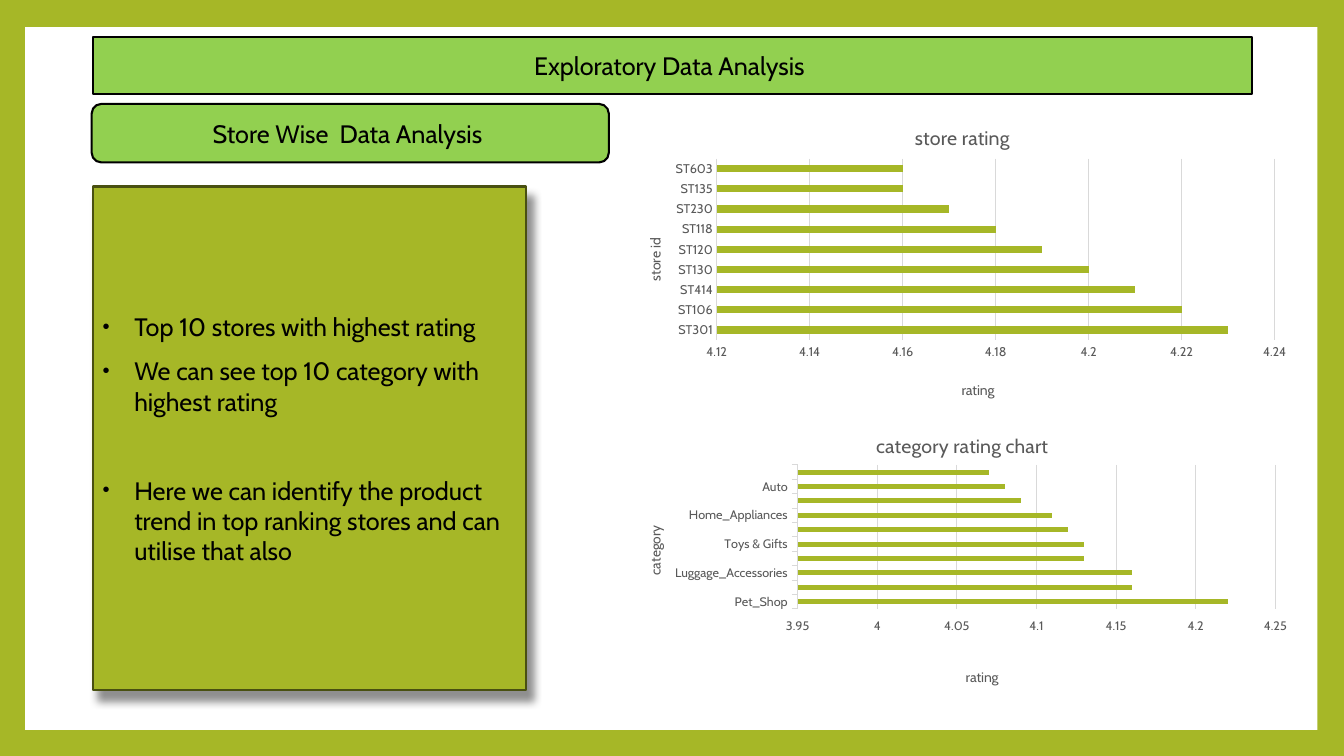
"""Build the store rating analysis slide."""
from pptx import Presentation
from pptx.chart.data import CategoryChartData
from pptx.dml.color import RGBColor
from pptx.enum.chart import XL_CHART_TYPE, XL_TICK_MARK
from pptx.enum.shapes import MSO_SHAPE
from pptx.enum.text import MSO_ANCHOR, MSO_AUTO_SIZE, PP_ALIGN
from pptx.oxml import parse_xml
from pptx.oxml.ns import nsdecls, qn
from pptx.util import Pt


def paint(fmt, tone):
    """Give a fill, line or font a solid colour."""
    if hasattr(fmt, "solid"):
        fmt.solid()
        fmt = fmt.fore_color
    else:
        fmt = fmt.color
    fmt.rgb = RGBColor.from_string(tone)


def place(node, index, **spots):
    """Set a manual layout on a chart part."""
    for old in node.findall(qn("c:layout")):
        node.remove(old)
    modes = '<c:layoutTarget val="inner"/>' if "w" in spots else ""
    modes += '<c:xMode val="edge"/><c:yMode val="edge"/>'
    sizes = "".join(f'<c:{key} val="{val}"/>' for key, val in spots.items())
    node.insert(index, parse_xml(
        f'<c:layout {nsdecls("c")}><c:manualLayout>{modes}{sizes}'
        '</c:manualLayout></c:layout>'))


FONT, OLIVE, GREEN, BLACK = "Cabin", "A6B727", "92D050", "000000"
GREY, PALE = "595959", "D9D9D9"

deck = Presentation()
deck.slide_width, deck.slide_height = Pt(960), Pt(540)
slide = deck.slides.add_slide(deck.slide_layouts[1])
shapes = slide.shapes
paint(slide.background.fill, OLIVE)

panel = shapes.add_shape(MSO_SHAPE.RECTANGLE, Pt(18), Pt(19.4), Pt(923), Pt(502))
panel.shadow.inherit = False
paint(panel.fill, "FFFFFF")
panel.line.fill.background()
shapes._spTree.insert(2, panel._element)

title = shapes.title
title.left, title.top, title.width, title.height = Pt(66.2), Pt(26.6), Pt(828), Pt(40.3)
title._element.spPr.append(parse_xml(
    f'<a:prstGeom {nsdecls("a")} prst="roundRect"><a:avLst/></a:prstGeom>'))
store = shapes.add_shape(MSO_SHAPE.ROUNDED_RECTANGLE, Pt(65.5), Pt(74.2), Pt(369.4), Pt(41.8))
store.shadow.inherit = False
heads = [(title, "Exploratory Data Analysis "), (store, "Store Wise  Data Analysis ")]
for box, words in heads:
    paint(box.fill, GREEN)
    paint(box.line, BLACK)
    box.line.width = Pt(1.5)
    frame = box.text_frame
    frame.text = words
    frame.word_wrap = True
    frame.auto_size = MSO_AUTO_SIZE.NONE
    frame.vertical_anchor = MSO_ANCHOR.MIDDLE
    para = frame.paragraphs[0]
    para.alignment = PP_ALIGN.CENTER
    font = para.runs[0].font
    font.name, font.size = FONT, Pt(18)
    paint(font, BLACK)

body = slide.placeholders[1]
body.left, body.top, body.width, body.height = Pt(66.2), Pt(133.2), Pt(309.6), Pt(360)
paint(body.fill, OLIVE)
paint(body.line, "495011")
body.line.width = Pt(1.5)
body._element.spPr.append(parse_xml(
    f'<a:effectLst {nsdecls("a")}><a:outerShdw blurRad="{Pt(6)}" dist="{Pt(8)}" '
    'dir="3600000" algn="tl" rotWithShape="0"><a:srgbClr val="000000">'
    '<a:alpha val="43000"/></a:srgbClr></a:outerShdw></a:effectLst>'))
frame = body.text_frame
frame.word_wrap = True
frame.auto_size = MSO_AUTO_SIZE.NONE
frame.vertical_anchor = MSO_ANCHOR.MIDDLE
points = [
    ("Top 10 stores with highest rating", 10),
    ("We can see top 10 category with highest rating", 10),
    ("Here we can identify the product trend in top ranking stores and can utilise that also", 42),
]
frame.text = "\n".join(words for words, gap in points)
for para, (words, gap) in zip(frame.paragraphs, points):
    para.space_before = Pt(gap)
    props = para._p.get_or_add_pPr()
    props.set("marL", str(Pt(22.5)))
    props.set("indent", str(Pt(-22.5)))
    for tag in (
        f'<a:buClr {nsdecls("a")}><a:srgbClr val="000000"/></a:buClr>',
        f'<a:buSzPct {nsdecls("a")} val="80000"/>',
        f'<a:buFont {nsdecls("a")} typeface="Arial"/>',
        f'<a:buChar {nsdecls("a")} char="•"/>',
    ):
        props.append(parse_xml(tag))
    font = para.runs[0].font
    font.name, font.size = FONT, Pt(18)
    paint(font, BLACK)

charts = [
    dict(top=75.6, high=216, name="store rating", side="store id",
         cats=["ST301", "ST106", "ST414", "ST130", "ST120", "ST118", "ST230", "ST135", "ST603"],
         vals=[4.23, 4.22, 4.21, 4.2, 4.19, 4.18, 4.17, 4.16, 4.16],
         scale=(4.12, 4.24, 0.02), tick=XL_TICK_MARK.NONE,
         plot=dict(x=0.144, y=0.175, w=0.82, h=0.6),
         spots=[(0.43, 0.05), (0.035, 0.43), (0.5, 0.9)]),
    dict(top=295.9, high=196.6, name="category rating chart", side="category",
         cats=["Pet_Shop", "Food & Beverages", "Luggage_Accessories", "Fashion", "Toys & Gifts",
               "Construction_Tools", "Home_Appliances", "Stationery", "Auto", "Electronics"],
         vals=[4.22, 4.16, 4.16, 4.13, 4.13, 4.12, 4.11, 4.09, 4.08, 4.07],
         scale=(3.95, 4.25, 0.05), tick=XL_TICK_MARK.OUTSIDE,
         plot=dict(x=0.263, y=0.188, w=0.702, h=0.535),
         spots=[(0.373, 0.055), (0.035, 0.407), (0.506, 0.93)]),
]
for item in charts:
    data = CategoryChartData()
    data.categories = item["cats"]
    data.add_series("Series 1", item["vals"])
    chart = shapes.add_chart(XL_CHART_TYPE.BAR_CLUSTERED, Pt(442), Pt(item["top"]),
                             Pt(486), Pt(item["high"]), data).chart
    chart.has_legend = False
    chart.font.name, chart.font.size = FONT, Pt(10)
    paint(chart.font, BLACK)
    plot = chart.plots[0]
    plot.gap_width = 182
    plot.vary_by_categories = False
    paint(plot.series[0].format.fill, OLIVE)

    cat, val = chart.category_axis, chart.value_axis
    for axis in (cat, val):
        axis.major_tick_mark = item["tick"]
        axis.minor_tick_mark = XL_TICK_MARK.NONE
        font = axis.tick_labels.font
        font.name, font.size = FONT, Pt(9)
        paint(font, GREY)
    cat.has_major_gridlines = False
    val.minimum_scale, val.maximum_scale, val.major_unit = item["scale"]
    val.tick_labels.number_format = "General"
    val.tick_labels.number_format_is_linked = False
    val.format.line.fill.background()
    for line in (cat.format.line, val.major_gridlines.format.line):
        paint(line, PALE)
        line.width = Pt(0.75)

    chart.has_title = True
    labels = [(chart.chart_title, item["name"], 14),
              (cat.axis_title, item["side"], 10),
              (val.axis_title, "rating", 10)]
    for (label, words, size), (x, y) in zip(labels, item["spots"]):
        label.text_frame.text = words
        font = label.text_frame.paragraphs[0].runs[0].font
        font.name, font.size, font.bold = FONT, Pt(size), False
        paint(font, GREY)
        place(label._element, 1, x=x, y=y)
    turn = cat.axis_title.text_frame._txBody.bodyPr
    turn.set("rot", "-5400000")
    turn.set("vert", "horz")
    place(chart._chartSpace.chart.plotArea, 0, **item["plot"])

deck.save("out.pptx")
